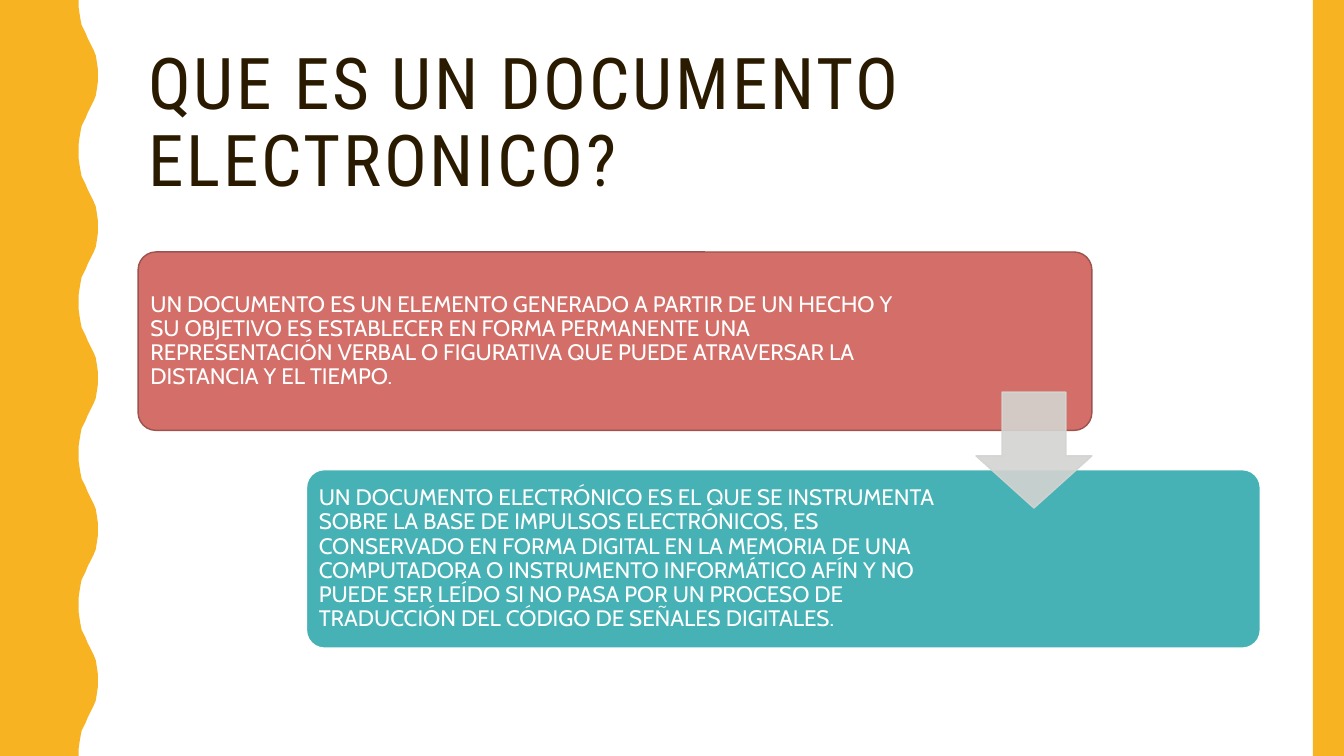
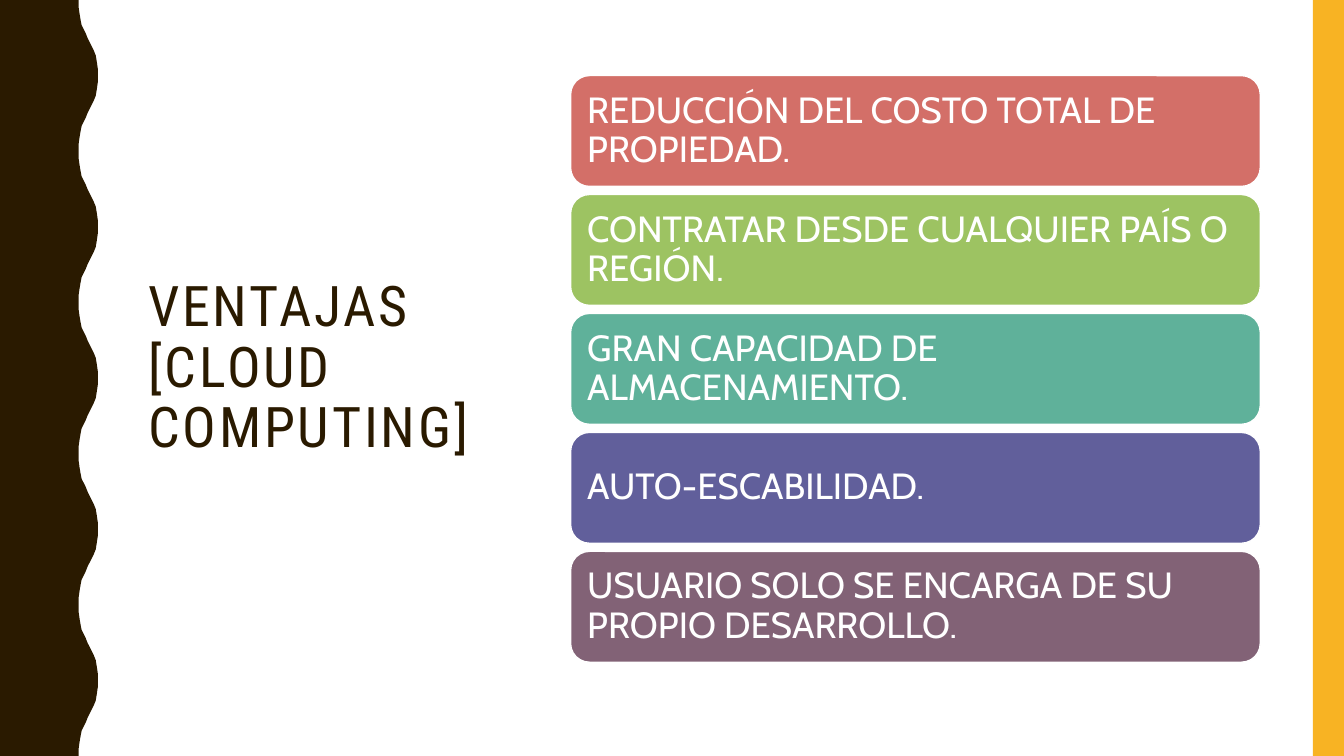
from dataclasses import dataclass

from lxml import etree
from pptx import Presentation
from pptx.dml.color import RGBColor
from pptx.enum.shapes import MSO_SHAPE
from pptx.enum.text import MSO_ANCHOR, MSO_AUTO_SIZE, PP_ALIGN
from pptx.oxml.ns import qn
from pptx.util import Emu, Pt

RECT = MSO_SHAPE.RECTANGLE
ROUND_RECT = MSO_SHAPE.ROUNDED_RECTANGLE
DOWN_ARROW = MSO_SHAPE.DOWN_ARROW
MIDDLE = MSO_ANCHOR.MIDDLE
LEFT = PP_ALIGN.LEFT
NO_AUTOFIT = MSO_AUTO_SIZE.NONE

EMU_PER_PX = 9144
SLIDE_W, SLIDE_H = 1333, 750
TITLE_ONLY = 5


@dataclass(frozen=True)
class Theme:
    heading_font: str = "Roboto Condensed"
    body_font: str = "Cabin"
    dark: str = "2A1A00"
    amber: str = "F8B323"
    white: str = "FFFFFF"
    red: str = "D36F68"
    red_edge: str = "9C524D"
    teal: str = "46B2B5"
    green: str = "9DC362"
    sea: str = "5FB19A"
    indigo: str = "615F9B"
    plum: str = "826276"
    arrow: str = "D3D4D1"
    title_size: int = 51
    side_title_size: int = 40
    step_size: int = 16
    item_size: int = 26
    title_tracking: int = 200
    line_spacing: float = 0.9
    line_width: int = 1


THEME = Theme()

WAVE_PERIOD = 150
HALF_WAVE = [(78, 0), (78, 7), (79, 14), (80, 20), (81, 25), (83, 29),
             (85, 33), (87, 38), (89, 42), (91, 46), (93, 50), (95, 55),
             (96, 61), (97, 68), (97, 75)]

STEPS = [
    ((137, 250, 946, 177), THEME.red, THEME.red_edge, 180,
     "UN DOCUMENTO ES UN ELEMENTO GENERADO A PARTIR DE UN HECHO Y SU OBJETIVO "
     "ES ESTABLECER EN FORMA PERMANENTE UNA REPRESENTACIÓN VERBAL O FIGURATIVA "
     "QUE PUEDE ATRAVERSAR LA DISTANCIA Y EL TIEMPO."),
    ((304, 466, 946, 177), THEME.teal, THEME.white, 289,
     "UN DOCUMENTO ELECTRÓNICO ES EL QUE SE INSTRUMENTA SOBRE LA BASE DE "
     "IMPULSOS ELECTRÓNICOS, ES CONSERVADO EN FORMA DIGITAL EN LA MEMORIA DE "
     "UNA COMPUTADORA O INSTRUMENTO INFORMÁTICO AFÍN Y NO PUEDE SER LEÍDO SI "
     "NO PASA POR UN PROCESO DE TRADUCCIÓN DEL CÓDIGO DE SEÑALES DIGITALES."),
]

ADVANTAGES = [
    (THEME.red, "REDUCCIÓN DEL COSTO TOTAL DE PROPIEDAD."),
    (THEME.green, "CONTRATAR DESDE CUALQUIER PAÍS O REGIÓN."),
    (THEME.sea, "GRAN CAPACIDAD DE ALMACENAMIENTO."),
    (THEME.indigo, "AUTO-ESCABILIDAD."),
    (THEME.plum, "USUARIO SOLO SE ENCARGA DE SU PROPIO DESARROLLO."),
]


def px(n):
    return Emu(n * EMU_PER_PX)


def rgb(color):
    return RGBColor.from_string(color)


def paint(sp, fill, line=None):
    sp.shadow.inherit = False
    sp.fill.solid()
    sp.fill.fore_color.rgb = rgb(fill)
    if line:
        sp.line.color.rgb = rgb(line)
        sp.line.width = Pt(THEME.line_width)
    else:
        sp.line.fill.background()


def set_opacity(sp, percent):
    for clr in sp._element.spPr.iter(qn("a:srgbClr")):
        etree.SubElement(clr, qn("a:alpha")).set("val", str(percent * 1000))


def add_box(slide, kind, box, fill, line=None, adjustments=()):
    sp = slide.shapes.add_shape(kind, *map(px, box))
    for i, value in enumerate(adjustments):
        sp.adjustments[i] = value
    paint(sp, fill, line)
    return sp


def write(tf, text, font, size, color):
    tf.word_wrap = True
    tf.auto_size = NO_AUTOFIT
    tf.vertical_anchor = MIDDLE
    p = tf.paragraphs[0]
    p.alignment = LEFT
    p.line_spacing = THEME.line_spacing
    r = p.add_run()
    r.text = text
    r.font.name = font
    r.font.size = Pt(size)
    r.font.color.rgb = rgb(color)
    return r


def add_card(slide, box, fill, line, text, size, margin, right=None, radius=0.17):
    sp = add_box(slide, ROUND_RECT, box, fill, line, [radius])
    tf = sp.text_frame
    tf.margin_left = tf.margin_top = tf.margin_bottom = px(margin)
    tf.margin_right = px(right or margin)
    write(tf, text, THEME.body_font, size, THEME.white)


def add_wave(slide, color):
    wave = HALF_WAVE + [(x, WAVE_PERIOD - y) for x, y in HALF_WAVE[-2::-1]]
    edge = [(x, top + y) for top in range(0, SLIDE_H, WAVE_PERIOD) for x, y in wave]
    builder = slide.shapes.build_freeform(0, 0, scale=EMU_PER_PX)
    builder.add_line_segments(edge + [(0, SLIDE_H)], close=True)
    paint(builder.convert_to_shape(), color)


def set_title(slide, text, box, size):
    sp = slide.shapes.title
    sp.left, sp.top, sp.width, sp.height = map(px, box)
    r = write(sp.text_frame, text, THEME.heading_font, size, THEME.dark)
    r.font._element.set("spc", str(THEME.title_tracking))


def add_slide(prs, wave_color, title, title_box, title_size):
    slide = prs.slides.add_slide(prs.slide_layouts[TITLE_ONLY])
    add_wave(slide, wave_color)
    add_box(slide, RECT, (1302, 0, SLIDE_W - 1302, SLIDE_H), THEME.amber)
    set_title(slide, title, title_box, title_size)
    return slide


def build_definition(prs):
    slide = add_slide(prs, THEME.amber, "QUE ES UN DOCUMENTO ELECTRONICO?",
                      (137, 42, 1113, 163), THEME.title_size)
    for box, fill, line, right, text in STEPS:
        add_card(slide, box, fill, line, text, THEME.step_size, 7, right, 0.1)
    arrow = add_box(slide, DOWN_ARROW, (968, 389, 115, 115),
                    THEME.arrow, THEME.arrow, [0.55, 0.45])
    set_opacity(arrow, 90)


def build_advantages(prs):
    slide = add_slide(prs, THEME.dark, "VENTAJAS [CLOUD COMPUTING]",
                      (137, 70, 370, 592), THEME.side_title_size)
    top, height, gap = 75, 110, 8
    for i, (fill, text) in enumerate(ADVANTAGES):
        box = (566, top + i * (height + gap), 684, height)
        add_card(slide, box, fill, THEME.white, text, THEME.item_size, 11)


def main():
    prs = Presentation()
    prs.slide_width, prs.slide_height = px(SLIDE_W), px(SLIDE_H)
    build_definition(prs)
    build_advantages(prs)
    prs.save("out.pptx")


if __name__ == "__main__":
    main()
